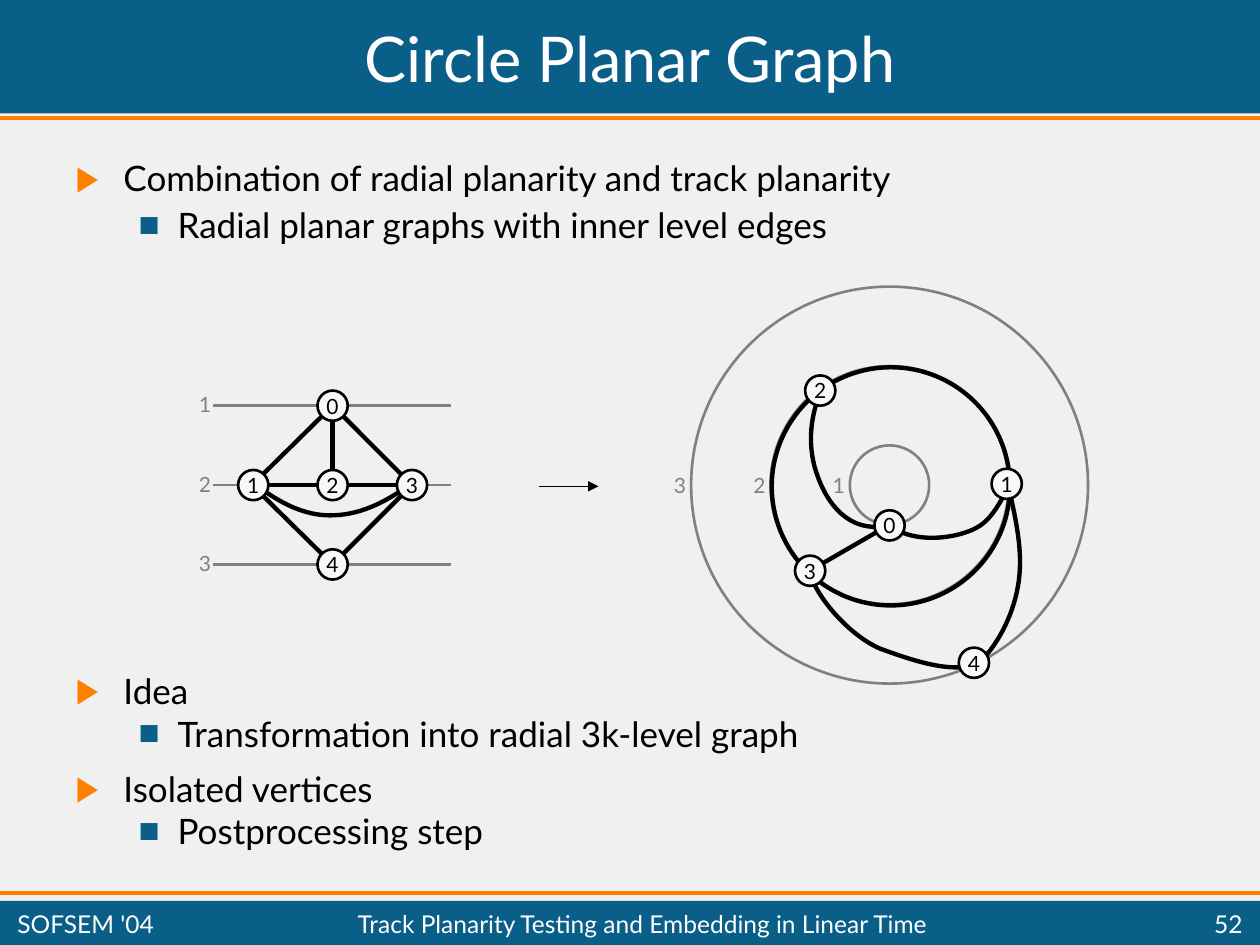
from lxml.etree import SubElement
from pptx import Presentation
from pptx.dml.color import RGBColor as RGB
from pptx.enum.shapes import MSO_CONNECTOR as CONN, MSO_SHAPE as SHAPE
from pptx.enum.text import MSO_ANCHOR as ANCHOR, MSO_AUTO_SIZE as AUTO, PP_ALIGN as ALIGN
from pptx.oxml.ns import qn
from pptx.util import Inches, Pt


class Theme:
    font = "Lato"
    blue, orange, gray = "0A5F89", "FF7F00", "808080"
    black, white, node, back = "000000", "FFFFFF", "F8F8F8", "F0F0F0"
    title, body, footer, label = 36, 20, 14, 12
    rule, track, edge, arrow = 2.25, 1.5, 2.5, 0.75


def write(p, text, size, color, align=ALIGN.LEFT):
    p.alignment = align
    r = p.add_run()
    r.text = text
    r.font.name = Theme.font
    r.font.size = Pt(size)
    r.font.color.rgb = RGB.from_string(color)


def outline(sp, color, width):
    sp.line.color.rgb = RGB.from_string(color)
    sp.line.width = Pt(width)
    SubElement(sp.element.spPr, qn("a:effectLst"))


prs = Presentation()
prs.slide_width, prs.slide_height = Inches(10), Inches(7.5)
s = prs.slides.add_slide(prs.slide_layouts[3])
s.background.fill.solid()
s.background.fill.fore_color.rgb = RGB.from_string(Theme.back)

for top, height in [(0, 0.9), (7.15, 0.35)]:
    bar = s.shapes.add_shape(SHAPE.RECTANGLE, 0, Inches(top), Inches(10), Inches(height))
    bar.fill.solid()
    bar.fill.fore_color.rgb = RGB.from_string(Theme.blue)
    bar.line.fill.background()
    bar.shadow.inherit = False

title = s.shapes.title
title.left, title.top, title.width, title.height = map(Inches, (0.04, 0.04, 9.92, 0.83))
title.text_frame.auto_size = AUTO.NONE
title.text_frame.vertical_anchor = ANCHOR.MIDDLE
write(title.text_frame.paragraphs[0], "Circle Planar Graph", Theme.title, Theme.white, ALIGN.CENTER)
s.shapes.element.append(title.element)

levels = [("▶", Theme.orange, 0.38, 0.38, 12.5), ("■", Theme.blue, 0.81, 0.31, 5)]
lists = [
    (1, 1.23, 0.79, 0.9, [
        (0, "Combination of radial planarity and track planarity"),
        (1, "Radial planar graphs with inner level edges")]),
    (2, 5.33, 1.59, 0.8, [
        (0, "Idea"),
        (1, "Transformation into radial 3k-level graph"),
        (0, "Isolated vertices"),
        (1, "Postprocessing step")]),
]
for idx, top, height, spacing, items in lists:
    body = s.placeholders[idx]
    body.left, body.top, body.width, body.height = map(Inches, (0.5, top, 9, height))
    tf = body.text_frame
    tf.auto_size = AUTO.NONE
    for i, (level, text) in enumerate(items):
        p = tf.add_paragraph() if i else tf.paragraphs[0]
        bullet, color, margin, hang, before = levels[level]
        p.level = level
        p.line_spacing = spacing
        p.space_before = Pt(before)
        write(p, text, Theme.body, Theme.black)
        pPr = p._p.get_or_add_pPr()
        pPr.set("marL", str(Inches(margin)))
        pPr.set("indent", str(-Inches(hang)))
        SubElement(SubElement(pPr, qn("a:buClr")), qn("a:srgbClr"), val=color)
        SubElement(pPr, qn("a:buChar"), char=bullet)

STEP = 0.63
tracks = [3.85 + STEP * k for k in (-1, 0, 1)]
lines = [(0, y, 10, y, Theme.orange, Theme.rule) for y in (0.94, 7.09)]
lines += [(1.69, y, 3.58, y, Theme.gray, Theme.track) for y in tracks]
edges = [
    (3.27, 3.85, 2.64, 4.48), (2.64, 3.22, 3.27, 3.85), (2.64, 3.22, 2.64, 3.85),
    (1.98, 3.83, 2.64, 4.48), (1.99, 3.86, 2.64, 3.22), (2, 3.85, 3.3, 3.85),
    (7.05, 4.17, 6.41, 4.54),
]
lines += [(*edge, Theme.black, Theme.edge) for edge in edges]
lines.append((4.28, 3.86, 4.75, 3.86, Theme.black, Theme.arrow))
for x1, y1, x2, y2, color, width in lines:
    line = s.shapes.add_connector(CONN.STRAIGHT, *map(Inches, (x1, y1, x2, y2)))
    outline(line, color, width)
SubElement(line.line._get_or_add_ln(), qn("a:tailEnd"), type="triangle")

rings = [(7.06, 3.85, STEP * (k + 0.5), Theme.gray, Theme.track) for k in range(3)]
rings.append((7.07, 3.86, STEP * 1.5, Theme.black, Theme.edge))
for x, y, radius, color, width in rings:
    ring = s.shapes.add_shape(
        SHAPE.OVAL, *map(Inches, (x - radius, y - radius, 2 * radius, 2 * radius)))
    ring.fill.background()
    outline(ring, color, width)

curves = [
    [(2.02, 3.84), (2.23, 4), (2.42, 4.09), (2.62, 4.09), (2.83, 4.09), (3.03, 4.01), (3.26, 3.84)],
    [(6.42, 4.53), (6.49, 4.77), (6.77, 5.06), (6.99, 5.15), (7.21, 5.23), (7.52, 5.34), (7.72, 5.28)],
    [(8, 3.85), (8.08, 4.18), (8.12, 4.42), (8.08, 4.65), (8.04, 4.89), (7.91, 5.14), (7.75, 5.28)],
    [(7.05, 4.17), (7.24, 4.3), (7.49, 4.28), (7.65, 4.23), (7.81, 4.18), (7.88, 4.11), (8.01, 3.85)],
    [(7.05, 4.17), (6.73, 4.24), (6.56, 3.98), (6.49, 3.78), (6.41, 3.57), (6.42, 3.32), (6.52, 3.1)],
]
for curve in curves:
    start, *controls = [(Inches(x), Inches(y)) for x, y in curve]
    fb = s.shapes.build_freeform(*start)
    fb.add_line_segments(controls, close=False)
    arc = fb.convert_to_shape()
    arc.fill.background()
    outline(arc, Theme.black, Theme.edge)
    outline_path = next(arc.element.iter(qn("a:path")))
    segments = outline_path.findall(qn("a:lnTo"))
    for i, segment in enumerate(segments):
        if i % 3 == 0:
            bezier = SubElement(outline_path, qn("a:cubicBezTo"))
        bezier.append(segment[0])
        outline_path.remove(segment)

nodes = [
    ("0", 2.64, 3.22), ("1", 2.01, 3.85), ("2", 2.64, 3.85), ("3", 3.27, 3.85), ("4", 2.64, 4.48),
    ("0", 7.06, 4.17), ("1", 7.99, 3.84), ("2", 6.51, 3.1), ("3", 6.43, 4.53), ("4", 7.73, 5.26),
]
for name, x, y in nodes:
    node = s.shapes.add_shape(SHAPE.OVAL, *map(Inches, (x - 0.12, y - 0.12, 0.24, 0.24)))
    node.fill.solid()
    node.fill.fore_color.rgb = RGB.from_string(Theme.node)
    outline(node, Theme.black, Theme.track)
    tf = node.text_frame
    tf.word_wrap = False
    tf.vertical_anchor = ANCHOR.MIDDLE
    write(tf.paragraphs[0], name, Theme.label, Theme.black, ALIGN.CENTER)

labels = [(str(k + 1), 1.48, y - 0.16) for k, y in enumerate(tracks)]
labels += [(str(k + 1), 6.51 - STEP * k, 3.7) for k in range(3)]
for text, x, y in labels:
    tf = s.shapes.add_textbox(*map(Inches, (x, y, 0.29, 0.3))).text_frame
    tf.word_wrap = False
    write(tf.paragraphs[0], text, Theme.label, Theme.gray)

footers = [
    ("SOFSEM '04", 0.04, 1.44, ALIGN.LEFT),
    ("Track Planarity Testing and Embedding in Linear Time", 1.5, 7.2, ALIGN.CENTER),
    ("52", 8.78, 1.18, ALIGN.RIGHT),
]
for text, x, width, align in footers:
    tf = s.shapes.add_textbox(*map(Inches, (x, 7.19, width, 0.28))).text_frame
    tf.word_wrap = True
    tf.vertical_anchor = ANCHOR.MIDDLE
    write(tf.paragraphs[0], text, Theme.footer, Theme.white, align)

prs.save("out.pptx")
